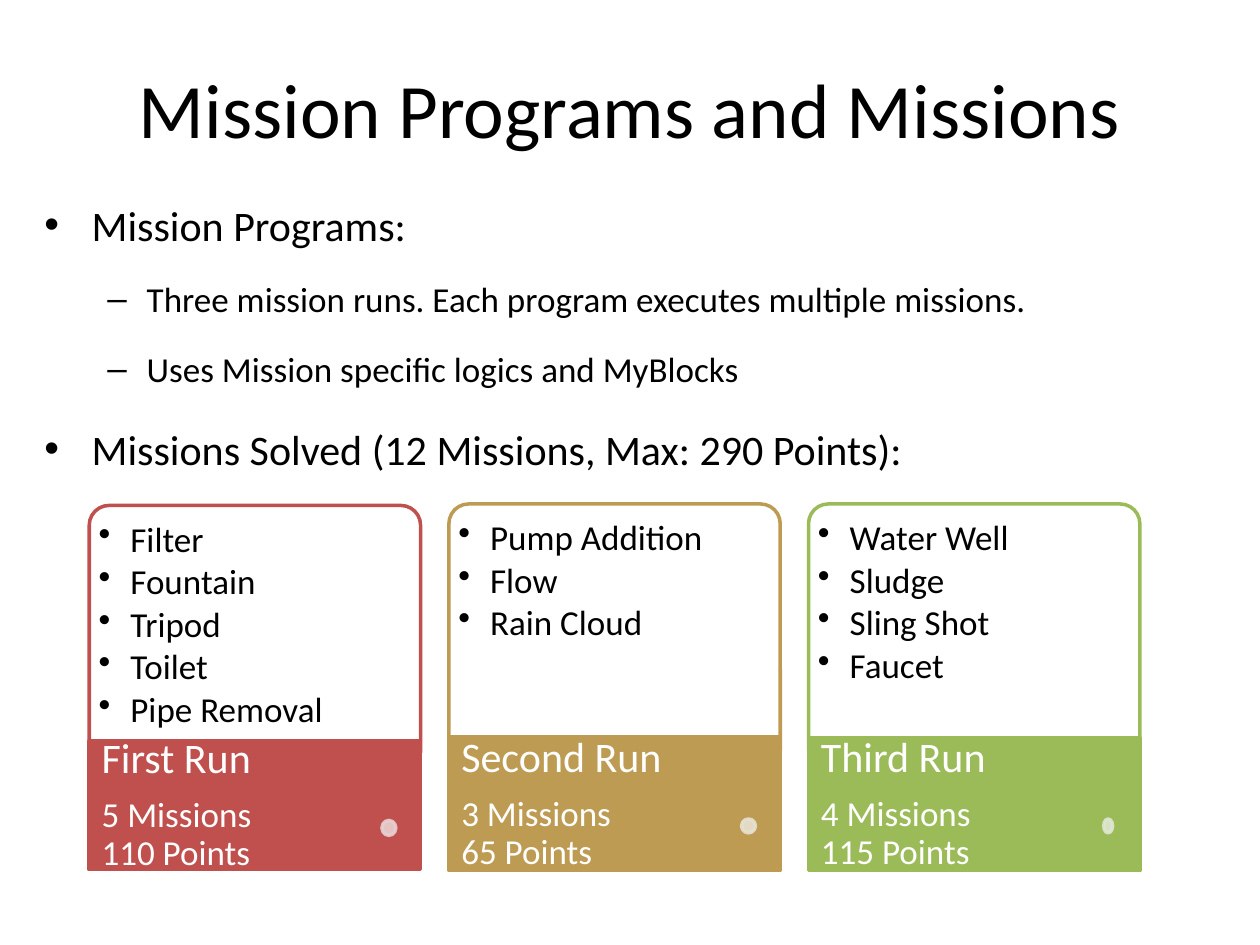
from dataclasses import dataclass

import pptx
import pptx.dml.color
import pptx.enum.shapes
import pptx.enum.text
import pptx.oxml
import pptx.oxml.ns
import pptx.util

Cm = pptx.util.Cm
Pt = pptx.util.Pt
RGBColor = pptx.dml.color.RGBColor
Shape = pptx.enum.shapes.MSO_SHAPE
Anchor = pptx.enum.text.MSO_ANCHOR

FONT = "Calibri"
BLACK = RGBColor(0x00, 0x00, 0x00)
WHITE = RGBColor(0xFF, 0xFF, 0xFF)
RED = RGBColor(0xC0, 0x50, 0x4D)
GOLD = RGBColor(0xBD, 0x9B, 0x53)
GREEN = RGBColor(0x9B, 0xBB, 0x59)
PALE_RED = RGBColor(0xE8, 0xD0, 0xD0)
PALE_GOLD = RGBColor(0xE8, 0xE1, 0xD1)
PALE_GREEN = RGBColor(0xDE, 0xE7, 0xD1)

# Card geometry in centimetres
FIRST_LEFT, CARD_PITCH, CARD_WIDTH = 1.8, 7.25, 6.68
FRAME_HEIGHT = 4.98
LABEL_WIDTH = 4.7
DOT_CENTER = 6.04


@dataclass
class Run:
    name: str
    missions: list[str]
    points: int
    color: RGBColor
    dot_color: RGBColor
    top: float
    label_top: float
    label_height: float
    dot_top: float
    dot_width: float
    dot_height: float


RUNS = [
    Run("First Run", ["Filter", "Fountain", "Tripod", "Toilet", "Pipe Removal"],
        110, RED, PALE_RED, 10.19, 14.94, 2.59, 16.54, 0.28, 0.3),
    Run("Second Run", ["Pump Addition", "Flow", "Rain Cloud"],
        65, GOLD, PALE_GOLD, 10.16, 14.86, 2.69, 16.51, 0.28, 0.28),
    Run("Third Run", ["Water Well", "Sludge", "Sling Shot", "Faucet"],
        115, GREEN, PALE_GREEN, 10.16, 14.88, 2.67, 16.51, 0.18, 0.28),
]

OUTLINE = [
    (0, "Mission Programs:"),
    (1, "Three mission runs. Each program executes multiple missions."),
    (1, "Uses Mission specific logics and MyBlocks"),
    (0, "Missions Solved (12 Missions, Max: 290 Points):"),
]


def place(shape, left: float, top: float, width: float, height: float) -> None:
    shape.left, shape.top = Cm(left), Cm(top)
    shape.width, shape.height = Cm(width), Cm(height)


def write(frame, text: str, *, size: float, color: RGBColor = BLACK, level: int = 0,
          line_spacing: float | None = None, space_before: float | None = None,
          space_after: float | None = None, bullet_indent: float | None = None) -> None:
    """Fill the frame's empty first paragraph, or append another one."""
    paragraph = frame.paragraphs[0]
    if paragraph.runs:
        paragraph = frame.add_paragraph()
    paragraph.level = level
    if line_spacing is not None:
        paragraph.line_spacing = line_spacing
    if space_before is not None:
        paragraph.space_before = Pt(space_before)
    if space_after is not None:
        paragraph.space_after = Pt(space_after)
    if bullet_indent is not None:
        properties = paragraph._p.get_or_add_pPr()
        properties.set("marL", str(Cm(bullet_indent)))
        properties.set("indent", str(-Cm(bullet_indent)))
        pptx.oxml.ns  # namespace helpers for the bullet element
        bullet = pptx.oxml.parse_xml(
            f'<a:buChar {pptx.oxml.ns.nsdecls("a")} char="•"/>')
        properties.append(bullet)
    run = paragraph.add_run()
    run.text = text
    run.font.name = FONT
    run.font.size = Pt(size)
    run.font.color.rgb = color


def make_translucent(color_format_parent, percent: int) -> None:
    for color in color_format_parent.iter(pptx.oxml.ns.qn("a:srgbClr")):
        color.append(pptx.oxml.parse_xml(
            f'<a:alpha {pptx.oxml.ns.nsdecls("a")} val="{percent * 1000}"/>'))


def add_box(slide, kind, left: float, top: float, width: float, height: float,
            fill: RGBColor, line: RGBColor):
    shape = slide.shapes.add_shape(kind, Cm(left), Cm(top), Cm(width), Cm(height))
    shape.shadow.inherit = False
    shape.fill.solid()
    shape.fill.fore_color.rgb = fill
    shape.line.color.rgb = line
    shape.line.width = Pt(2)
    return shape


def add_text_frame(slide, left: float, top: float, width: float, height: float,
                   margins: tuple[float, float, float, float], anchor):
    """Margins are left, top, right and bottom, in centimetres."""
    frame = slide.shapes.add_textbox(
        Cm(left), Cm(top), Cm(width), Cm(height)).text_frame
    frame.word_wrap = True
    frame.vertical_anchor = anchor
    (frame.margin_left, frame.margin_top,
     frame.margin_right, frame.margin_bottom) = map(Cm, margins)
    return frame


def add_run_card(slide, run: Run, left: float) -> None:
    frame_shape = add_box(slide, Shape.ROUND_2_SAME_RECTANGLE, left, run.top,
                          CARD_WIDTH, FRAME_HEIGHT, WHITE, run.color)
    frame_shape.adjustments[0] = 0.08
    frame_shape.adjustments[1] = 0
    make_translucent(frame_shape.fill._xPr.find(pptx.oxml.ns.qn("a:solidFill")), 90)

    missions = add_text_frame(slide, left + 0.11, run.top + 0.13, 6.45, 4.88,
                              (0.08, 0.2, 0.08, 0.08), Anchor.TOP)
    for mission in run.missions:
        write(missions, mission, size=20, level=1, line_spacing=0.9,
              space_after=2.75, bullet_indent=0.64)

    add_box(slide, Shape.RECTANGLE, left, run.label_top, CARD_WIDTH,
            run.label_height, run.color, run.color)
    label = add_text_frame(slide, left, run.label_top, LABEL_WIDTH, run.label_height,
                           (0.25, 0, 0.08, 0), Anchor.MIDDLE)
    write(label, run.name, size=24, color=WHITE, line_spacing=0.9, space_after=8.4)
    for text in (f"{len(run.missions)} Missions", f"{run.points} Points"):
        write(label, text, size=20, color=WHITE, line_spacing=0.9)

    dot = add_box(slide, Shape.OVAL, left + DOT_CENTER - run.dot_width / 2, run.dot_top,
                  run.dot_width, run.dot_height, run.dot_color, run.dot_color)
    make_translucent(dot._element.spPr, 90)


def main() -> None:
    presentation = pptx.Presentation()
    presentation.slide_width, presentation.slide_height = Cm(25.4), Cm(19.05)
    slide = presentation.slides.add_slide(presentation.slide_layouts[1])

    title = slide.shapes.title
    place(title, 1.27, 0.76, 22.86, 2.84)
    title.text_frame.vertical_anchor = Anchor.MIDDLE
    write(title.text_frame, "Mission Programs and Missions", size=44)

    body = slide.placeholders[1]
    place(body, 0.64, 3.38, 24.33, 14.17)
    body.text_frame.auto_size = pptx.enum.text.MSO_AUTO_SIZE.NONE
    for index, (level, text) in enumerate(OUTLINE):
        write(body.text_frame, text, size=20 if level else 24, level=level,
              line_spacing=1.5, space_before=None if index else 0)

    for index, run in enumerate(RUNS):
        add_run_card(slide, run, FIRST_LEFT + index * CARD_PITCH)

    presentation.save("out.pptx")


if __name__ == "__main__":
    main()
